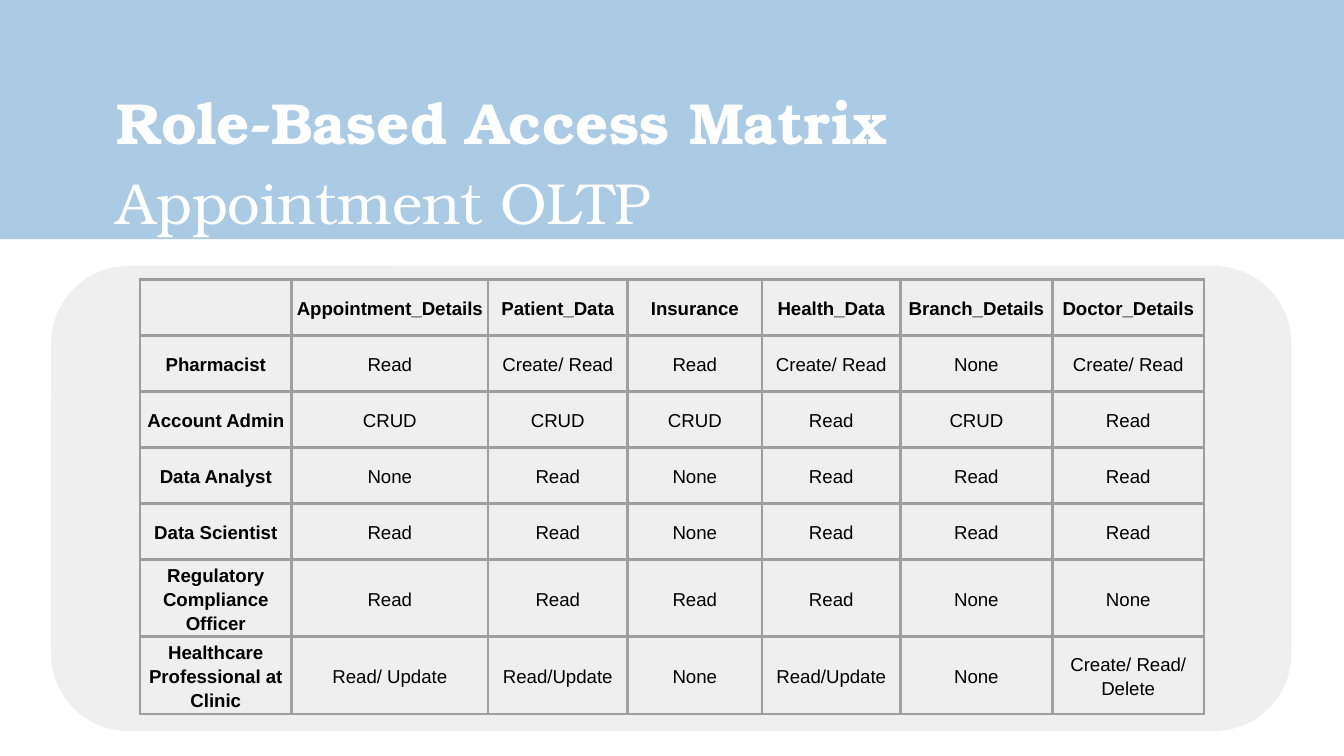
"""Build a slide with a role-based access matrix."""
from dataclasses import dataclass

from lxml.etree import SubElement
from pptx import Presentation
from pptx.dml.color import RGBColor
from pptx.enum.shapes import MSO_SHAPE
from pptx.enum.text import MSO_ANCHOR, MSO_AUTO_SIZE, PP_ALIGN
from pptx.oxml.ns import qn
from pptx.util import Inches, Pt

BLUE = RGBColor(0xAB, 0xCB, 0xE5)
PALE = RGBColor(0xEF, 0xEF, 0xEF)
GRAY = RGBColor(0x9E, 0x9E, 0x9E)
WHITE = RGBColor(0xFF, 0xFF, 0xFF)
BLACK = RGBColor(0, 0, 0)

HEADS = ["", "Appointment_Details", "Patient_Data", "Insurance",
         "Health_Data", "Branch_Details", "Doctor_Details"]
WIDTHS = [1.13, 1.46, 1.04, 1, 1.03, 1.13, 1.13]
HEIGHT = 5 / 12


@dataclass
class Panel:
    kind: MSO_SHAPE
    left: float
    top: float
    width: float
    height: float
    fill: RGBColor


@dataclass
class Role:
    name: str
    rights: list[str]


PANELS = [
    Panel(MSO_SHAPE.RECTANGLE, 0, 0, 10, 1.78, BLUE),
    Panel(MSO_SHAPE.ROUNDED_RECTANGLE, 0.38, 1.98, 9.23, 3.46, PALE),
]
ROLES = [
    Role("Pharmacist", ["Read", "Create/ Read", "Read", "Create/ Read",
                        "None", "Create/ Read"]),
    Role("Account Admin", ["CRUD", "CRUD", "CRUD", "Read", "CRUD", "Read"]),
    Role("Data Analyst", ["None", "Read", "None", "Read", "Read", "Read"]),
    Role("Data Scientist", ["Read", "Read", "None", "Read", "Read", "Read"]),
    Role("Regulatory Compliance Officer",
         ["Read", "Read", "Read", "Read", "None", "None"]),
    Role("Healthcare Professional at Clinic",
         ["Read/ Update", "Read/Update", "None", "Read/Update", "None",
          "Create/ Read/ Delete"]),
]


def write(para, text: str, *, font: str = "Arial", size: float = 10,
          color: RGBColor = BLACK, bold: bool = False,
          align: PP_ALIGN = PP_ALIGN.CENTER) -> None:
    para.alignment = align
    para.line_spacing = 1.15
    para.space_before = Pt(0)
    run = para.add_run()
    run.text = text
    run.font.name = font
    run.font.size = Pt(size)
    run.font.bold = bold
    run.font.color.rgb = color


def draw_panel(slide, panel: Panel) -> None:
    shape = slide.shapes.add_shape(
        panel.kind, Inches(panel.left), Inches(panel.top),
        Inches(panel.width), Inches(panel.height))
    shape.shadow.inherit = False
    shape.fill.solid()
    shape.fill.fore_color.rgb = panel.fill
    shape.line.fill.background()


def draw_title(slide) -> None:
    title = slide.shapes.title
    title.left, title.top = Inches(0.87), Inches(0.57)
    title.width, title.height = Inches(8.35), Inches(1.07)
    frame = title.text_frame
    frame.word_wrap = True
    frame.auto_size = MSO_AUTO_SIZE.NONE
    frame.vertical_anchor = MSO_ANCHOR.TOP
    frame.margin_left = frame.margin_right = 0
    frame.margin_top = frame.margin_bottom = 0
    look = dict(font="TeX Gyre Bonum", size=31, color=WHITE,
                align=PP_ALIGN.LEFT)
    write(frame.paragraphs[0], "Role-Based Access Matrix", bold=True, **look)
    write(frame.add_paragraph(), "Appointment OLTP", **look)
    slide.shapes._spTree.append(title._element)


def set_edges(cell) -> None:
    props = cell._tc.get_or_add_tcPr()
    for place, side in enumerate(("lnL", "lnR", "lnT", "lnB")):
        edge = SubElement(props, qn(f"a:{side}"), w=str(Pt(1.5)))
        fill = SubElement(edge, qn("a:solidFill"))
        SubElement(fill, qn("a:srgbClr"), val=str(GRAY))
        props.insert(place, edge)


def draw_cell(cell, text: str, bold: bool) -> None:
    cell.fill.background()
    cell.vertical_anchor = MSO_ANCHOR.MIDDLE
    cell.margin_left = cell.margin_right = Inches(0.03)
    cell.margin_top = cell.margin_bottom = Inches(0.02)
    set_edges(cell)
    if text:
        write(cell.text_frame.paragraphs[0], text, bold=bold)


def draw_matrix(slide) -> None:
    rows = [HEADS] + [[role.name, *role.rights] for role in ROLES]
    table = slide.shapes.add_table(
        len(rows), len(HEADS), Inches(1.04), Inches(2.08),
        Inches(sum(WIDTHS)), Inches(HEIGHT * len(rows))).table
    table.first_row = table.horz_banding = False
    for column, width in zip(table.columns, WIDTHS):
        column.width = Inches(width)
    for r, row in enumerate(rows):
        table.rows[r].height = Inches(HEIGHT)
        for c, text in enumerate(row):
            draw_cell(table.cell(r, c), text, r == 0 or c == 0)


def main() -> None:
    deck = Presentation()
    deck.slide_width, deck.slide_height = Inches(10), Inches(10 * 9 / 16)
    slide = deck.slides.add_slide(deck.slide_layouts[5])
    for panel in PANELS:
        draw_panel(slide, panel)
    draw_title(slide)
    draw_matrix(slide)
    deck.save("out.pptx")


if __name__ == "__main__":
    main()
